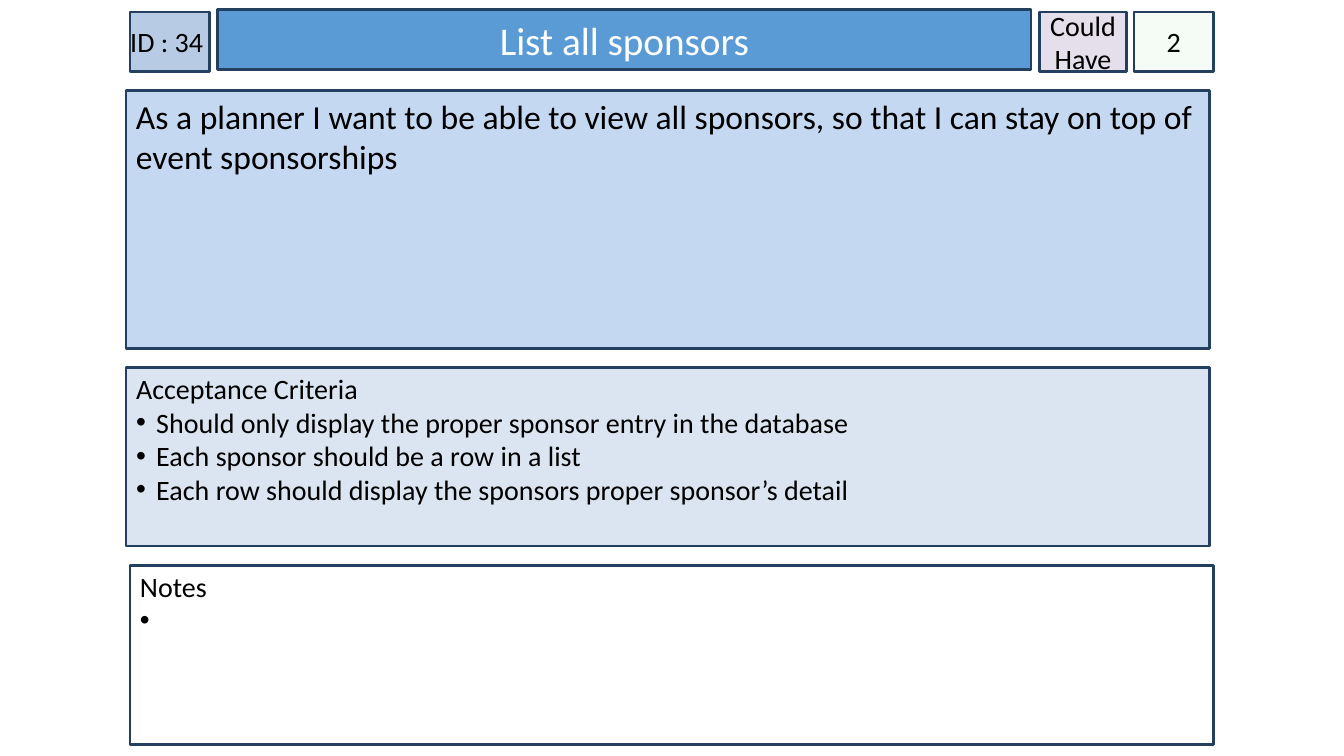
from dataclasses import dataclass

from lxml import etree
from pptx import Presentation
from pptx import slide as sl
from pptx import util as u
from pptx.dml import color
from pptx.enum import shapes, text
from pptx.oxml import ns
from pptx.shapes import autoshape
from pptx.text import text as tx

INK, EDGE, FONT = "000000", "244061", "Calibri"
STORY_LEFT, NOTES_LEFT, PANEL_WIDTH = 90, 92.9, 774
BADGE_TOP, BADGE_HEIGHT = 8.6, 42.5
LIST_HEIGHT, LIST_INDENT = 127.4, 14.4
TITLE, BODY = 0, 1


@dataclass(frozen=True)
class Card:
    left: float
    top: float
    width: float
    height: float
    fill: str
    lines: tuple[str, ...]
    size: int = 20
    ink: str = INK
    centered: bool = False
    side_inset: float = 7.2
    top_inset: float = 3.6
    opacity: int = 100
    placeholder: int | None = None


def badge(left: float, width: float, fill: str, label: str, opacity: int = 100) -> Card:
    return Card(left, BADGE_TOP, width, BADGE_HEIGHT, fill, (label,),
                centered=True, side_inset=0, opacity=opacity)


CARDS = (
    badge(92.9, 56.9, "B7CCE4", "ID : 34 "),
    Card(155.5, 7, 581, 42.5, "5B9BD5", ("List all sponsors",), size=28, ink="FFFFFF",
         centered=True, placeholder=TITLE),
    Card(STORY_LEFT, 64.9, PANEL_WIDTH, 184.3, "C5D8F1",
         ("As a planner I want to be able to view all sponsors, "
          "so that I can stay on top of event sponsorships",), size=24),
    Card(STORY_LEFT, 262.6, PANEL_WIDTH, LIST_HEIGHT, "DAE5F1",
         ("Acceptance Criteria",
          "Should only display the proper sponsor entry in the database",
          "Each sponsor should be a row in a list",
          "Each row should display the sponsors proper sponsor’s detail"),
         top_inset=2.9, placeholder=BODY),
    badge(810, 56.9, "CCF0CD", "2", opacity=20),
    badge(742.3, 62.6, "E5DFEC", "Could Have"),
    Card(NOTES_LEFT, 404.2, PANEL_WIDTH, LIST_HEIGHT, "FFFFFF", ("Notes", " "), top_inset=2.9),
)


def rgb(hex_color: str) -> color.RGBColor:
    return color.RGBColor.from_string(hex_color)


def set_bullet(paragraph: tx._Paragraph, bulleted: bool) -> None:
    properties = paragraph._p.get_or_add_pPr()
    indent = u.Pt(LIST_INDENT) if bulleted else 0
    properties.set("marL", str(indent))
    properties.set("indent", str(-indent))
    if not bulleted:
        etree.SubElement(properties, ns.qn("a:buNone"))
        return
    bullet_color = etree.SubElement(properties, ns.qn("a:buClr"))
    etree.SubElement(bullet_color, ns.qn("a:srgbClr"), val=INK)
    etree.SubElement(properties, ns.qn("a:buFont"), typeface="Arial")
    etree.SubElement(properties, ns.qn("a:buChar"), char="•")


def paint(shape: autoshape.Shape, card: Card) -> None:
    shape.shadow.inherit = False
    shape.fill.solid()
    shape.fill.fore_color.rgb = rgb(card.fill)
    if card.opacity < 100:
        fill_color = shape._element.spPr.find(ns.qn("a:solidFill"))[0]
        etree.SubElement(fill_color, ns.qn("a:alpha"), val=str(card.opacity * 1000))
    shape.line.color.rgb = rgb(EDGE)
    shape.line.width = u.Pt(2)


def write(frame: tx.TextFrame, card: Card) -> None:
    frame.text = "\n".join(card.lines)
    frame.word_wrap = True
    frame.auto_size = text.MSO_AUTO_SIZE.NONE
    frame.vertical_anchor = text.MSO_ANCHOR.MIDDLE if card.centered else text.MSO_ANCHOR.TOP
    frame.margin_left = frame.margin_right = u.Pt(card.side_inset)
    frame.margin_top, frame.margin_bottom = u.Pt(card.top_inset), u.Pt(3.6)
    for index, paragraph in enumerate(frame.paragraphs):
        paragraph.alignment = text.PP_ALIGN.CENTER if card.centered else text.PP_ALIGN.LEFT
        paragraph.space_before = u.Pt(0)
        set_bullet(paragraph, index > 0)
        for run in paragraph.runs:
            run.font.name = FONT
            run.font.size = u.Pt(card.size)
            run.font.color.rgb = rgb(card.ink)


def draw(slide: sl.Slide, card: Card) -> None:
    box = [u.Pt(length) for length in (card.left, card.top, card.width, card.height)]
    if card.placeholder is None:
        shape = slide.shapes.add_shape(shapes.MSO_SHAPE.RECTANGLE, *box)
    else:
        shape = slide.placeholders[card.placeholder]
        shape.left, shape.top, shape.width, shape.height = box
    paint(shape, card)
    write(shape.text_frame, card)


def main() -> None:
    deck = Presentation()
    deck.slide_width, deck.slide_height = u.Pt(960), u.Pt(540)
    story_card = deck.slides.add_slide(deck.slide_layouts[1])
    for card in CARDS:
        draw(story_card, card)
    deck.save("out.pptx")


if __name__ == "__main__":
    main()
